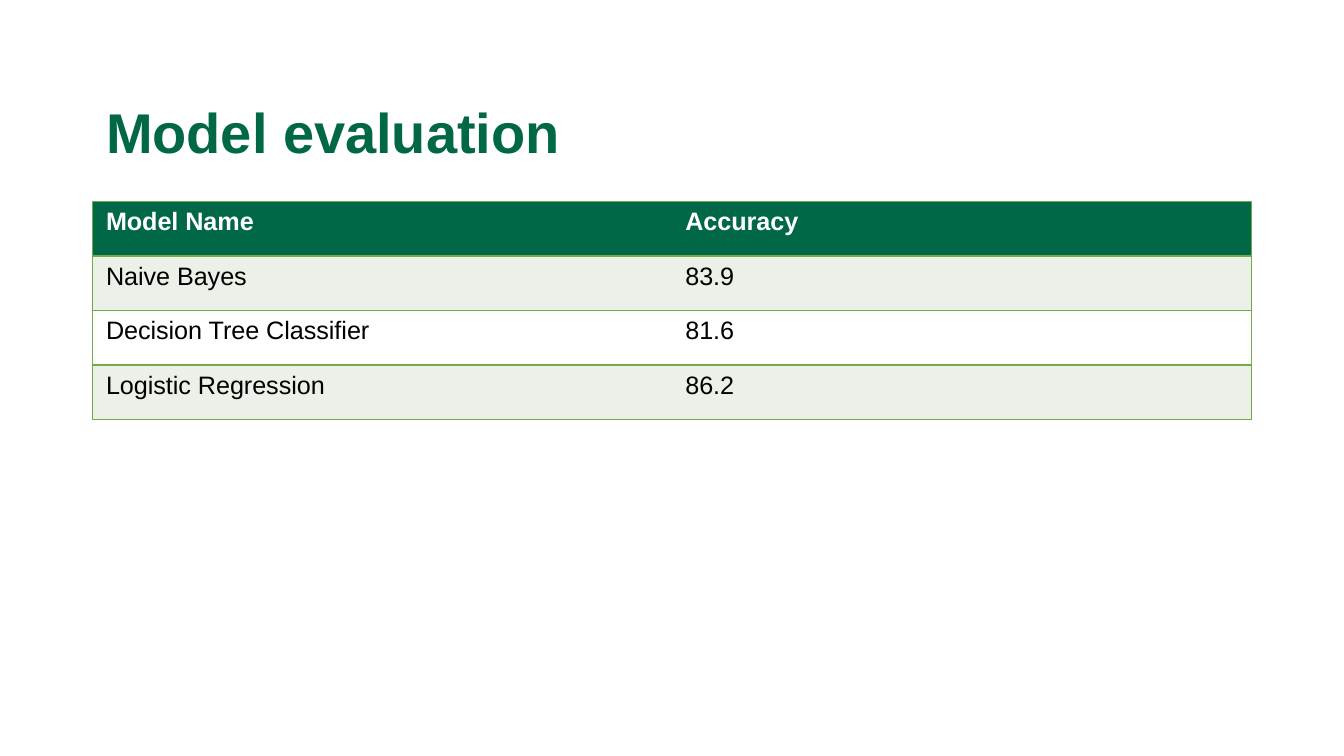
from pptx import Presentation
from pptx.dml.color import RGBColor
from pptx.enum.text import MSO_ANCHOR as Anchor
from pptx.oxml.ns import qn
from pptx.util import Cm, Pt
from lxml.etree import SubElement as Sub

LEFT, WIDTH = 1.75, 21.9
ROWS = [
    ("Model Name", "Accuracy"),
    ("Naive Bayes", "83.9"),
    ("Decision Tree Classifier", "81.6"),
    ("Logistic Regression", "86.2"),
]


def paint(target, color):
    """Give a fill a solid colour from a hex string."""
    target.solid()
    target.fore_color.rgb = RGBColor.from_string(color)


def style(frame, size, color, bold):
    """Format every run of a text frame."""
    for para in frame.paragraphs:
        for run in para.runs:
            font = run.font
            font.name, font.size, font.bold = "Arial", Pt(size), bold
            paint(font.fill, color)


def edge(cell, sides, color):
    """Draw 1 pt borders on the named sides and clear the others."""
    props = cell._tc.get_or_add_tcPr()
    for side in "LRTB":
        line = Sub(props, qn("a:ln" + side), w=str(Pt(1)))
        if side in sides:
            solid = Sub(line, qn("a:solidFill"))
            Sub(solid, qn("a:srgbClr"), val=color)
        else:
            Sub(line, qn("a:noFill"))


def add_title(slide, text):
    """Fill and place the title placeholder."""
    title = slide.shapes.title
    title.left, title.top = Cm(LEFT), Cm(1.6)
    title.width, title.height = Cm(WIDTH), Cm(1.93)
    frame = title.text_frame
    frame.text = text
    frame.word_wrap = True
    frame.vertical_anchor = Anchor.MIDDLE
    para = frame.paragraphs[0]
    para.alignment = 1
    para.line_spacing = 0.9
    style(frame, 30, "006747", True)


def add_grid(slide, rows):
    """Add the table with a dark header and banded rows."""
    grid = slide.shapes.add_table(
        len(rows), len(rows[0]), Cm(LEFT), Cm(3.81), Cm(WIDTH), Cm(4.12)
    ).table
    for r, row in enumerate(rows):
        head = r == 0
        back = "006749" if head else "EBF1E9" if r % 2 else "FFFFFF"
        for c, text in enumerate(row):
            cell = grid.cell(r, c)
            cell.text_frame.text = text
            style(cell.text_frame, 13.5, "FFFFFF" if head else "000000", head)
            edge(cell, "RTB" if c else "LTB", "70AD47")
            paint(cell.fill, back)


def main():
    """Build the slide and save it."""
    deck = Presentation()
    deck.slide_width, deck.slide_height = Cm(25.4), Cm(14.29)
    slide = deck.slides.add_slide(deck.slide_layouts[5])
    add_title(slide, "Model evaluation")
    add_grid(slide, ROWS)
    deck.save("out.pptx")


main()
